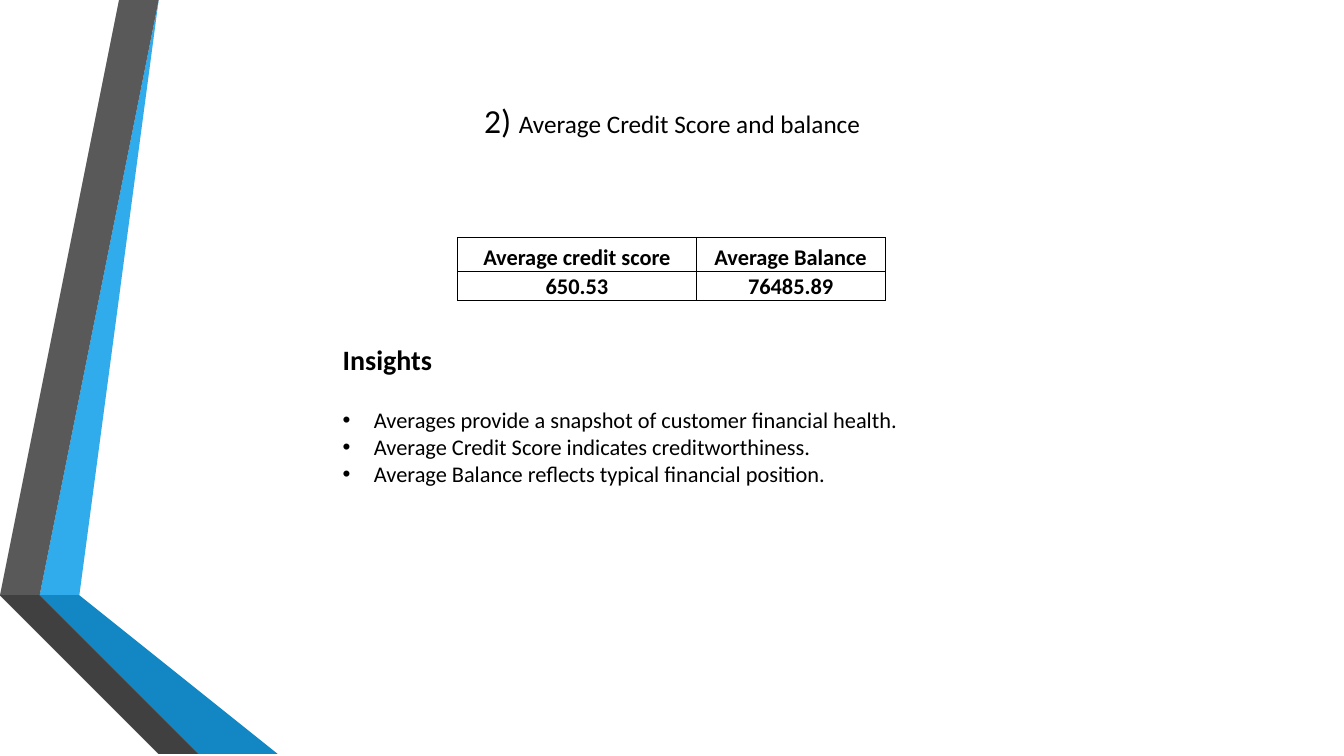
from pptx import Presentation
from pptx.dml.color import RGBColor
from pptx.enum import text
from pptx.oxml import parse_xml
from pptx.oxml.ns import nsdecls
from pptx.util import Cm, Pt

BLACK = RGBColor(0x00, 0x00, 0x00)
BLUE = RGBColor(0x30, 0xAC, 0xEC)
MID_BLUE = RGBColor(0x12, 0x87, 0xC3)
DARK_BLUE = RGBColor(0x0C, 0x5A, 0x82)
GREY = RGBColor(0x59, 0x59, 0x59)
DARK_GREY = RGBColor(0x40, 0x40, 0x40)
CHARCOAL = RGBColor(0x26, 0x26, 0x26)

# Ribbon bands, points in centimetres
BANDS = [
    (BLUE, [(1.27, 14.68), (1.96, 14.81), (4.39, 0), (3.68, 0)]),
    (GREY, [(3.53, 0), (2.82, 0), (0.41, 14.55), (1.12, 14.66)]),
    (CHARCOAL, [(0.41, 14.55), (3.68, 19.05), (3.84, 19.05)]),
    (DARK_BLUE, [(1.27, 14.71), (5.28, 19.05), (5.44, 19.05)]),
    (MID_BLUE, [(1.27, 14.68), (5.44, 19.05), (7.19, 19.05), (1.96, 14.81)]),
    (DARK_GREY, [(5.13, 19.05), (1.22, 14.81), (1.12, 14.66), (0.41, 14.55),
                 (3.84, 19.05)]),
]
AVERAGES = [["Average credit score", "Average Balance"],
            ["650.53", "76485.89"]]
INSIGHTS = ["Averages provide a snapshot of customer financial health.",
            "Average Credit Score indicates creditworthiness.",
            "Average Balance reflects typical financial position."]


class SlideBuilder:
    """Holds the text style and the current slide."""

    def __init__(self, slide, font="Calibri", color=BLACK):
        self.s, self.font, self.color = slide, font, color

    def style(self, r, size, bold=False):
        r.font.name, r.font.size, r.font.bold = self.font, Pt(size), bold
        r.font.color.rgb = self.color

    def place(self, sp, left, top, width, height, anchor):
        sp.left, sp.top, sp.width, sp.height = map(Cm, (left, top, width, height))
        tf = sp.text_frame
        tf.word_wrap = True
        tf.vertical_anchor = anchor
        return tf

    def band(self, color, points):
        builder = self.s.shapes.build_freeform(*points[0], scale=Cm(1))
        builder.add_line_segments(points[1:], close=True)
        sp = builder.convert_to_shape()
        sp.shadow.inherit = False
        sp.fill.solid()
        sp.fill.fore_color.rgb = color
        sp.line.fill.background()

    def title(self, parts, *box):
        tf = self.place(self.s.shapes.title, *box, text.MSO_ANCHOR.BOTTOM)
        tf.auto_size = text.MSO_AUTO_SIZE.NONE
        p = tf.paragraphs[0]
        p.alignment = text.PP_ALIGN.CENTER
        for words, size in parts:
            r = p.add_run()
            r.text = words
            self.style(r, size)

    def bullets(self, heading, items, *box):
        tf = self.place(self.s.placeholders[1], *box, text.MSO_ANCHOR.MIDDLE)
        tf.auto_size = text.MSO_AUTO_SIZE.SHAPE_TO_FIT_TEXT
        tf.text = "\n".join([heading, *items])
        for i, p in enumerate(tf.paragraphs):
            is_heading = i == 0
            p.space_before = Pt(0)
            p.space_after = Pt(22 if is_heading else 0)
            self.style(p.runs[0], 20 if is_heading else 16, is_heading)
            pPr = p._p.get_or_add_pPr()
            indent = 0 if is_heading else Cm(0.79)
            pPr.set("marL", str(indent))
            pPr.set("indent", str(-indent))
            if is_heading:
                pPr.append(parse_xml(f"<a:buNone {nsdecls('a')}/>"))
            else:
                pPr.append(parse_xml(f'<a:buFont {nsdecls("a")} typeface="Arial"/>'))
                pPr.append(parse_xml(f'<a:buChar {nsdecls("a")} char="•"/>'))

    def table(self, rows, left, top, widths, heights):
        frame = self.s.shapes.add_table(
            len(rows), len(rows[0]), Cm(left), Cm(top),
            Cm(sum(widths)), Cm(sum(heights)))
        table = frame.table
        table.first_row = table.horz_banding = False
        for column, width in zip(table.columns, widths):
            column.width = Cm(width)
        for row, height, values in zip(table.rows, heights, rows):
            row.height = Cm(height)
            for cell, value in zip(row.cells, values):
                self.cell(cell, value)

    def cell(self, cell, value):
        cell.margin_left = cell.margin_right = cell.margin_top = Cm(0.02)
        cell.margin_bottom = 0
        cell.vertical_anchor = text.MSO_ANCHOR.BOTTOM
        cell.text_frame.text = value
        p = cell.text_frame.paragraphs[0]
        p.alignment = text.PP_ALIGN.CENTER
        self.style(p.runs[0], 16, True)
        tcPr = cell._tc.get_or_add_tcPr()
        for side in "LRTB":
            tcPr.append(parse_xml(
                f'<a:ln{side} {nsdecls("a")} w="{Pt(0.5)}"><a:solidFill>'
                f'<a:srgbClr val="{self.color}"/></a:solidFill></a:ln{side}>'))
        cell.fill.background()


def main():
    prs = Presentation()
    prs.slide_width, prs.slide_height = Cm(33.87), Cm(19.05)
    page = SlideBuilder(prs.slides.add_slide(prs.slide_layouts[1]))

    # Folded ribbon on the left
    for color, points in BANDS:
        page.band(color, points)

    # Title
    page.title([("2) ", 24), ("Average Credit Score and balance", 18)],
               10.92, 2.08, 12.04, 1.57)

    # Averages
    page.table(AVERAGES, 11.53, 5.99, [6.02, 4.75], [0.84, 0.74])

    # Insights
    page.bullets("Insights", INSIGHTS, 8.38, 8.48, 17.07, 3.94)

    prs.save("out.pptx")


if __name__ == "__main__":
    main()
